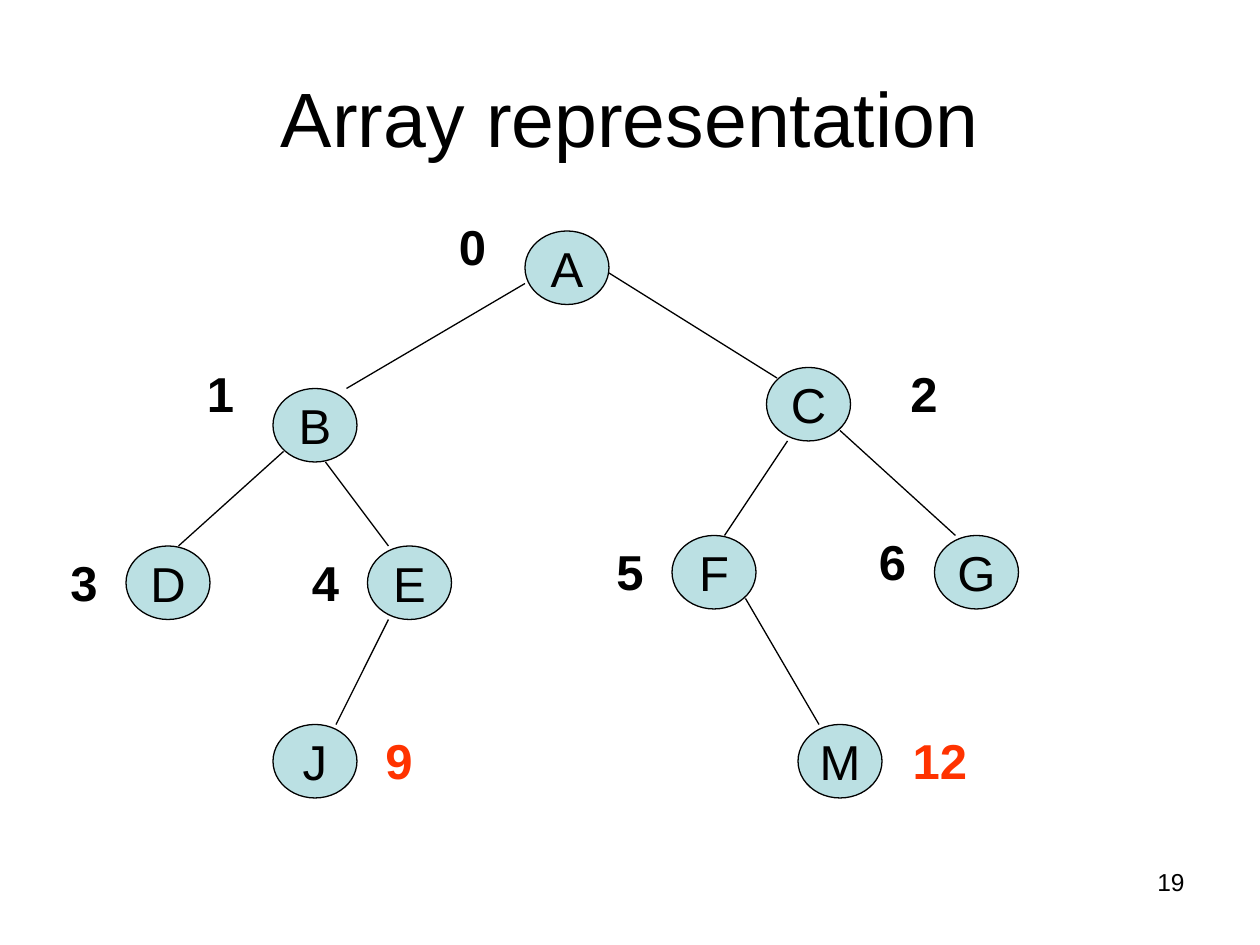
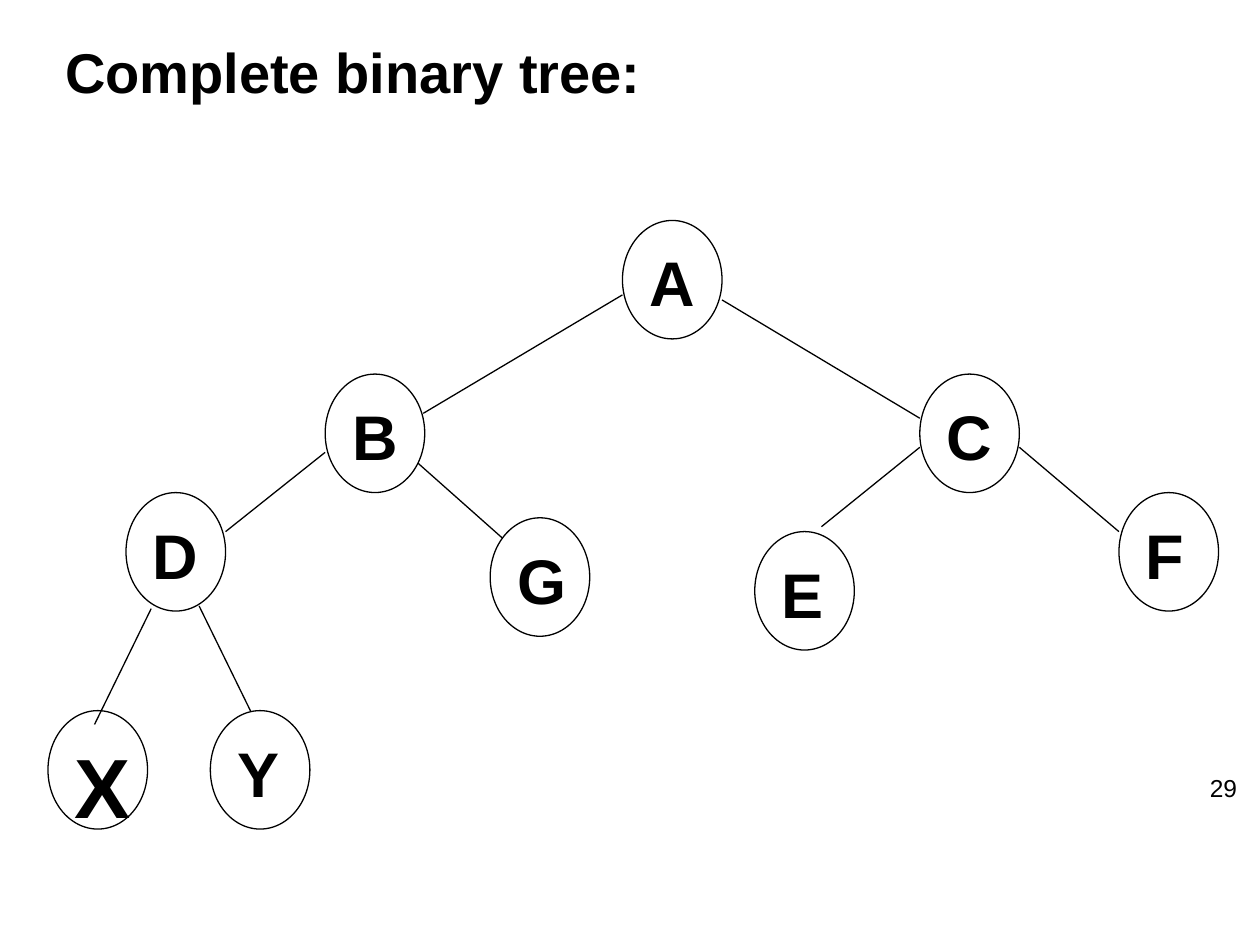
from lxml import etree
from pptx import Presentation
from pptx.dml.color import RGBColor
from pptx.enum.shapes import MSO_CONNECTOR, MSO_SHAPE
from pptx.enum.text import MSO_ANCHOR, MSO_AUTO_SIZE, PP_ALIGN
from pptx.oxml.ns import qn
from pptx.util import Pt

BLACK = RGBColor(0x00, 0x00, 0x00)
WHITE = RGBColor(0xFF, 0xFF, 0xFF)
PALE_TEAL = RGBColor(0xBB, 0xE0, 0xE3)
ORANGE_RED = RGBColor(0xFF, 0x33, 0x00)
FONT = "Arial"
LINE_WIDTH = Pt(0.75)


def write_text(shape, text, size=28, bold=False, color=BLACK,
               align=PP_ALIGN.CENTER, anchor=MSO_ANCHOR.TOP, wrap=True):
    frame = shape.text_frame
    frame.auto_size = MSO_AUTO_SIZE.NONE
    frame.word_wrap = wrap
    frame.vertical_anchor = anchor
    paragraph = frame.paragraphs[0]
    paragraph.text = text
    paragraph.alignment = align
    paragraph.space_before = Pt(0)
    font = paragraph.runs[0].font
    font.name, font.size, font.bold = FONT, Pt(size), bold
    font.color.rgb = color


def draw_edge(slide, *ends):
    edge = slide.shapes.add_connector(MSO_CONNECTOR.STRAIGHT, *map(Pt, ends))
    edge.line.color.rgb = BLACK
    edge.line.width = LINE_WIDTH
    etree.SubElement(edge._element.spPr, qn("a:effectLst"))


presentation = Presentation()
presentation.slide_width = Pt(720)
presentation.slide_height = Pt(540)

# Slide with the array index beside each node
array_slide = presentation.slides.add_slide(presentation.slide_layouts[5])
title = array_slide.shapes.title
title.left, title.top, title.width, title.height = Pt(36), Pt(21.6), Pt(648), Pt(90)
write_text(title, "Array representation", size=44, anchor=MSO_ANCHOR.MIDDLE)

index_labels = [
    ("0", 252, 120), ("1", 108, 204), ("2", 510, 204), ("3", 30, 312),
    ("4", 168, 312), ("5", 342, 306), ("6", 492, 300), ("9", 210, 414),
    ("12", 510, 414),
]
for index, left, top in index_labels:
    width = 36 if len(index) == 1 else 54
    label = array_slide.shapes.add_textbox(Pt(left), Pt(top), Pt(width), Pt(41))
    color = ORANGE_RED if int(index) > 6 else BLACK
    write_text(label, index, bold=True, color=color)

# Slide with the complete tree
complete_slide = presentation.slides.add_slide(presentation.slide_layouts[1])
empty_title = complete_slide.shapes.title._element
empty_title.getparent().remove(empty_title)
heading = complete_slide.placeholders[1]
heading.left, heading.top, heading.width, heading.height = Pt(30), Pt(18), Pt(648), Pt(66)
properties = heading.text_frame.paragraphs[0]._p.get_or_add_pPr()
properties.set("marL", str(Pt(27)))
properties.set("indent", str(Pt(-27)))
etree.SubElement(properties, qn("a:buNone"))
write_text(heading, "Complete binary tree:", size=32, bold=True,
           align=PP_ALIGN.JUSTIFY)

# Trees: edges as x1, y1, x2, y2 and nodes as name, left, top
array_edges = [
    (300, 162, 198, 222), (162, 258, 102, 312), (186, 264, 222, 312),
    (222, 354, 192, 414), (348, 156, 444, 216), (450, 252, 414, 306),
    (480, 246, 546, 306), (426, 342, 468, 414),
]
array_nodes = [
    ("A", 300, 132), ("B", 156, 222), ("C", 438, 210), ("D", 72, 312),
    ("E", 210, 312), ("F", 384, 306), ("G", 534, 306), ("J", 156, 414),
    ("M", 456, 414),
]
complete_edges = [
    (355.7, 168.5, 241.9, 236.2), (412.6, 171.4, 525.6, 239),
    (185.8, 258.5, 128.9, 303.8), (212.4, 241.2, 288.7, 308.9),
    (525.6, 255.6, 469.4, 301), (582.5, 255.6, 639.4, 303.8),
    (113.8, 346.3, 149.8, 419.8),
]
complete_nodes = [
    ("A", 355.7, 126), ("B", 185.8, 213.8), ("C", 525.6, 213.8),
    ("D", 72, 281.5), ("G", 280.1, 295.9), ("E", 431.3, 303.8),
    ("F", 639.4, 281.5), ("X", 27.4, 406.1), ("Y", 120.2, 406.1),
]
array_style = dict(anchor=MSO_ANCHOR.MIDDLE, wrap=False)
complete_style = dict(size=36, bold=True, align=PP_ALIGN.LEFT)
trees = [
    (array_slide, array_edges, array_nodes, 48, 42, PALE_TEAL, array_style),
    (complete_slide, complete_edges, complete_nodes, 56.9, 67.7, WHITE, complete_style),
]
for slide, edges, nodes, width, height, fill, style in trees:
    for edge_ends in edges:
        draw_edge(slide, *edge_ends)
    for name, left, top in nodes:
        node = slide.shapes.add_shape(
            MSO_SHAPE.OVAL, Pt(left), Pt(top), Pt(width), Pt(height))
        node.shadow.inherit = False
        node.fill.solid()
        node.fill.fore_color.rgb = fill
        node.line.color.rgb = BLACK
        node.line.width = LINE_WIDTH
        write_text(node, name, **(style | {"size": 48} if name == "X" else style))

# The edge from D runs over the outline of X
draw_edge(complete_slide, 86.4, 347.8, 54, 414)

for slide, number, left, top in [(array_slide, "19", 516, 492),
                                 (complete_slide, "29", 546, 438)]:
    page_number = slide.shapes.add_textbox(Pt(left), Pt(top), Pt(168), Pt(37.5))
    write_text(page_number, number, size=14, align=PP_ALIGN.RIGHT)

presentation.save("out.pptx")
